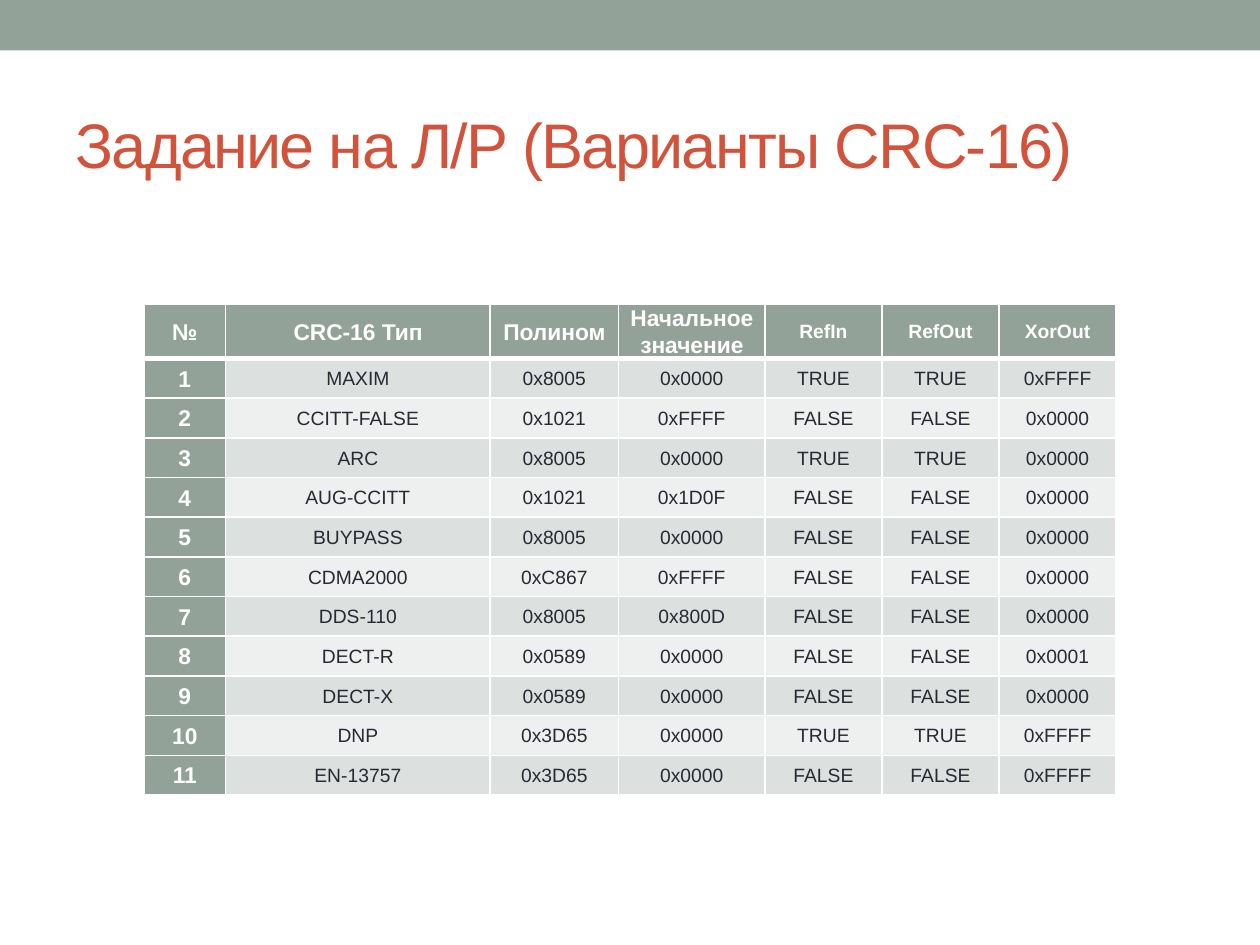
import lxml.etree
import pptx
import pptx.dml.color
import pptx.enum.shapes
import pptx.enum.text
import pptx.oxml.ns
import pptx.util

Cm = pptx.util.Cm
Pt = pptx.util.Pt
MIDDLE = pptx.enum.text.MSO_ANCHOR.MIDDLE
CENTER = pptx.enum.text.PP_ALIGN.CENTER
LEFT = pptx.enum.text.PP_ALIGN.LEFT

COLORS = {
    "accent": "93A299",
    "title": "D2533C",
    "text": "292934",
    "white": "FFFFFF",
    "odd_row": "DCE0DE",
    "even_row": "EEF0EF",
}
HEADER = ["№", "CRC-16 Тип", "Полином", "Начальное значение", "RefIn", "RefOut", "XorOut"]
VARIANTS = [
    ["MAXIM", "0x8005", "0x0000", "TRUE", "TRUE", "0xFFFF"],
    ["CCITT-FALSE", "0x1021", "0xFFFF", "FALSE", "FALSE", "0x0000"],
    ["ARC", "0x8005", "0x0000", "TRUE", "TRUE", "0x0000"],
    ["AUG-CCITT", "0x1021", "0x1D0F", "FALSE", "FALSE", "0x0000"],
    ["BUYPASS", "0x8005", "0x0000", "FALSE", "FALSE", "0x0000"],
    ["CDMA2000", "0xC867", "0xFFFF", "FALSE", "FALSE", "0x0000"],
    ["DDS-110", "0x8005", "0x800D", "FALSE", "FALSE", "0x0000"],
    ["DECT-R", "0x0589", "0x0000", "FALSE", "FALSE", "0x0001"],
    ["DECT-X", "0x0589", "0x0000", "FALSE", "FALSE", "0x0000"],
    ["DNP", "0x3D65", "0x0000", "TRUE", "TRUE", "0xFFFF"],
    ["EN-13757", "0x3D65", "0x0000", "FALSE", "FALSE", "0xFFFF"],
]
COLUMN_WIDTHS = [1.65, 5.33, 2.59, 2.95, 2.36, 2.36, 2.36]
ROW_HEIGHT = 0.8


def rgb(name):
    """Return the colour object for a palette name."""
    return pptx.dml.color.RGBColor.from_string(COLORS[name])


def write_text(text_frame, text, *, font, size, color, bold=False, align=LEFT,
               line_spacing=1.0, letter_spacing=0):
    """Write one formatted paragraph into a text frame."""
    paragraph = text_frame.paragraphs[0]
    paragraph.alignment = align
    paragraph.line_spacing = line_spacing
    run = paragraph.add_run()
    run.text = text
    run.font.name = font
    run.font.size = Pt(size)
    run.font.bold = bold
    run.font.color.rgb = rgb(color)
    if letter_spacing:
        run.font._element.set("spc", str(letter_spacing * 100))


class SlideBuilder:
    """Hold the style and the current slide."""

    font = "Arial"

    def __init__(self, slide):
        """Keep the slide that receives the elements."""
        self.slide = slide

    def band(self, left, top, width, height):
        """Draw a plain filled rectangle."""
        shape = self.slide.shapes.add_shape(
            pptx.enum.shapes.MSO_SHAPE.RECTANGLE, Cm(left), Cm(top), Cm(width), Cm(height))
        shape.shadow.inherit = False
        shape.fill.solid()
        shape.fill.fore_color.rgb = rgb("accent")
        shape.line.fill.background()

    def title(self, text, left, top, width, height):
        """Place and format the title placeholder."""
        shape = self.slide.shapes.title
        shape.left, shape.top, shape.width, shape.height = map(Cm, (left, top, width, height))
        shape.text_frame.vertical_anchor = MIDDLE
        write_text(shape.text_frame, text, font=self.font, size=36, color="title",
                   letter_spacing=-1)

    def table(self, rows, left, top):
        """Draw the table with a header row and a header column."""
        shape = self.slide.shapes.add_table(
            len(rows), len(COLUMN_WIDTHS), Cm(left), Cm(top),
            Cm(sum(COLUMN_WIDTHS)), Cm(ROW_HEIGHT * len(rows)))
        table = shape.table
        for column, width in zip(table.columns, COLUMN_WIDTHS):
            column.width = Cm(width)
        for row_index, values in enumerate(rows):
            table.rows[row_index].height = Cm(ROW_HEIGHT)
            for column_index, text in enumerate(values):
                self.cell(table.cell(row_index, column_index), text, row_index, column_index)

    def cell(self, cell, text, row, column):
        """Fill and format one table cell."""
        heading = row == 0 or column == 0
        large = column == 0 or (row == 0 and column < 4)
        cell.vertical_anchor = MIDDLE
        cell.margin_left = cell.margin_right = Cm(0.18)
        cell.margin_top = cell.margin_bottom = 0
        self.borders(cell, top=3 if row == 1 else 1, bottom=3 if row == 0 else 1)
        cell.fill.solid()
        cell.fill.fore_color.rgb = rgb(
            "accent" if heading else "odd_row" if row % 2 else "even_row")
        write_text(cell.text_frame, text, font=self.font, size=13 if large else 11,
                   color="white" if heading else "text", bold=heading, align=CENTER,
                   line_spacing=1.07)

    def borders(self, cell, top, bottom):
        """Add white borders to a cell."""
        qn = pptx.oxml.ns.qn
        properties = cell._tc.get_or_add_tcPr()
        for side, width in (("L", 1), ("R", 1), ("T", top), ("B", bottom)):
            line = lxml.etree.SubElement(properties, qn(f"a:ln{side}"), w=str(Pt(width)))
            fill = lxml.etree.SubElement(line, qn("a:solidFill"))
            lxml.etree.SubElement(fill, qn("a:srgbClr"), val=COLORS["white"])


def main():
    """Build and save the presentation."""
    presentation = pptx.Presentation()
    presentation.slide_width = Cm(25.4)
    presentation.slide_height = Cm(19.05)
    builder = SlideBuilder(presentation.slides.add_slide(presentation.slide_layouts[5]))
    builder.band(0, 0, 25.4, 1.02)
    builder.title("Задание на Л/Р (Варианты CRC-16)", 1.27, 1.52, 22.86, 2.74)
    numbered = [[str(number), *variant] for number, variant in enumerate(VARIANTS, 1)]
    builder.table([HEADER, *numbered], 2.9, 6.13)
    presentation.save("out.pptx")


if __name__ == "__main__":
    main()
